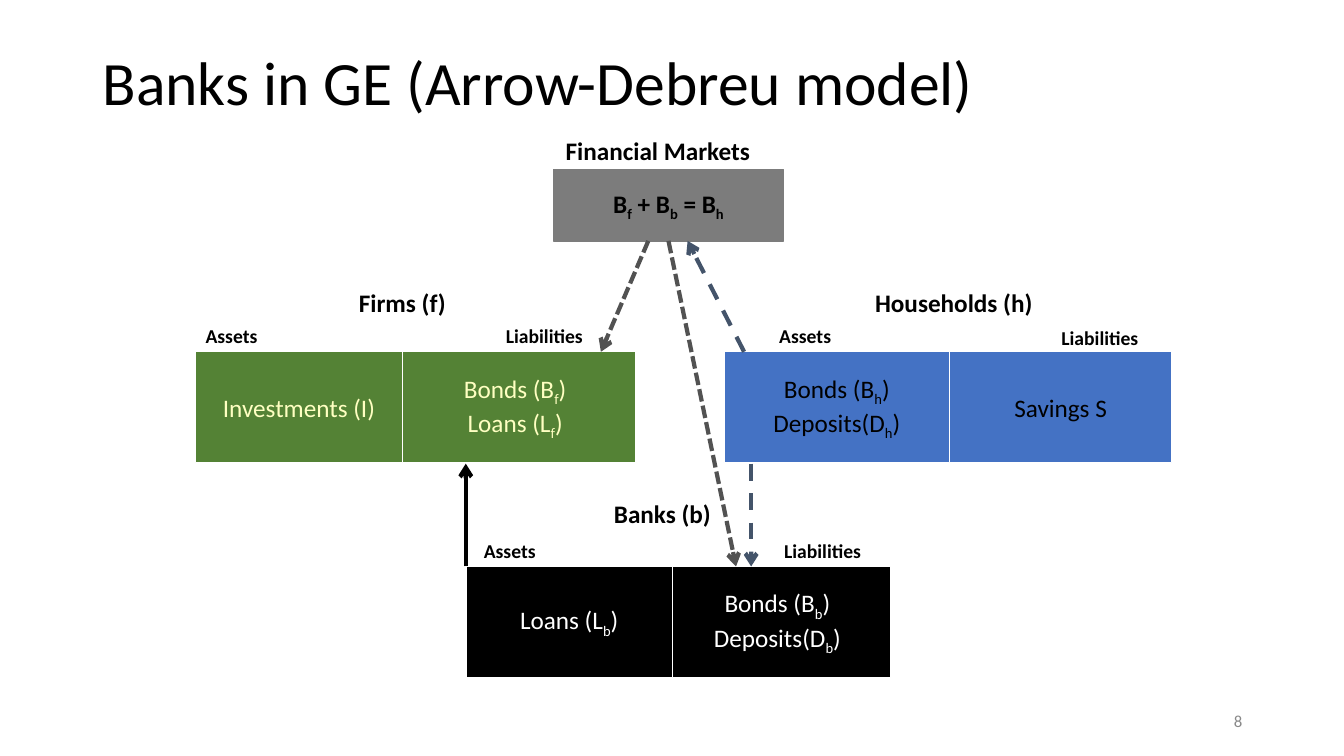
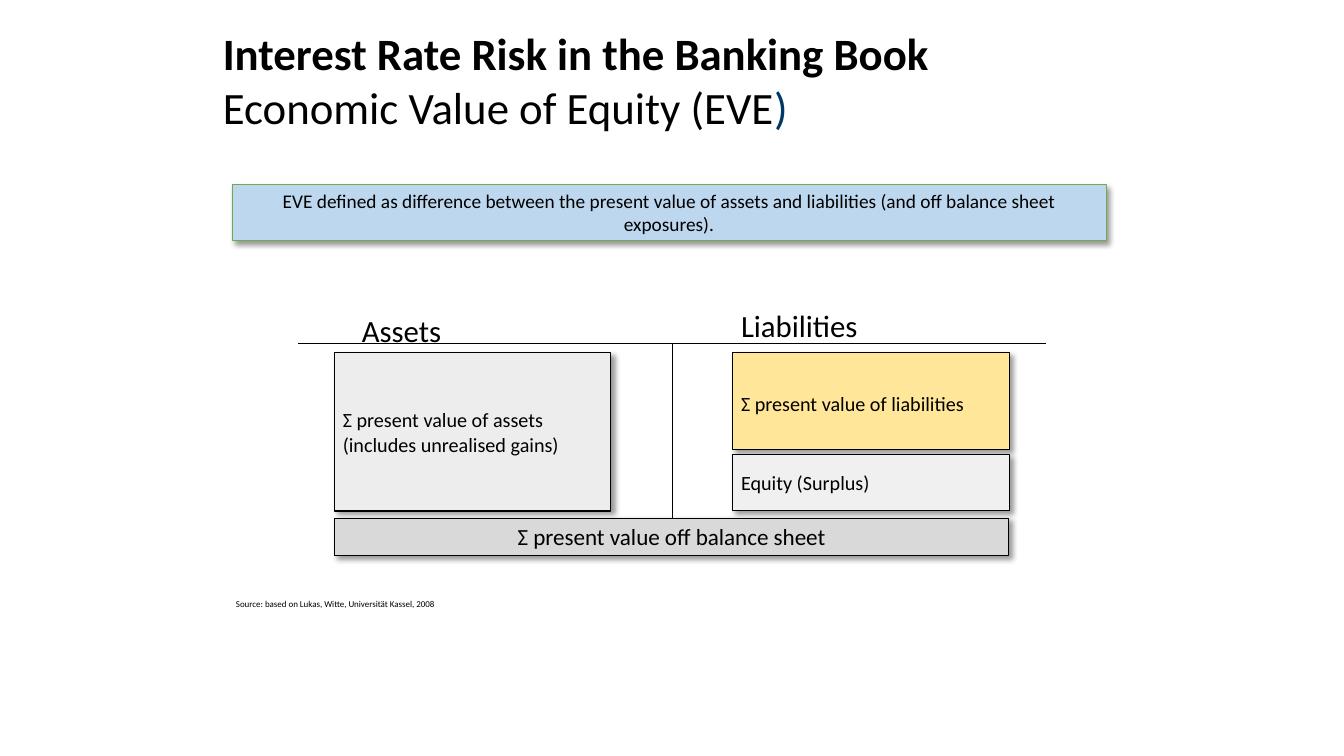
from dataclasses import dataclass

from lxml import etree
from pptx import Presentation
from pptx import util as u
from pptx.dml.color import RGBColor
from pptx.enum import dml, shapes, text
from pptx.oxml.ns import qn

PX = 9144


@dataclass(frozen=True)
class Theme:
    font: str = "Calibri"
    black: str = "000000"
    white: str = "FFFFFF"
    market: str = "7C7C7C"
    firm: str = "548235"
    firm_ink: str = "FFFFC2"
    household: str = "4472C4"
    household_flow: str = "44546A"
    market_flow: str = "525252"
    page_ink: str = "898989"
    asset_fill: str = "EDEDED"
    off_balance_fill: str = "D9D9D9"
    liability_fill: str = "FFE699"
    equity_fill: str = "F1F0F0"
    definition_fill: str = "BDD7EE"
    definition_edge: str = "70AD47"
    bracket: str = "003868"
    title: float = 44
    subtitle: float = 32
    side: float = 22
    body: float = 18
    off_balance: float = 16.5
    component: float = 14.4
    label: float = 14
    definition: float = 13.8
    page: float = 12
    source: float = 6.4


T = Theme()
LEFT, CENTER, RIGHT = text.PP_ALIGN.LEFT, text.PP_ALIGN.CENTER, text.PP_ALIGN.RIGHT
TOP, MIDDLE, BOTTOM = text.MSO_ANCHOR.TOP, text.MSO_ANCHOR.MIDDLE, text.MSO_ANCHOR.BOTTOM
WIDE, SNUG, FLUSH = (10, 5), (8, 4), (0, 0)
DASH, SHORT_DASH = dml.MSO_LINE.DASH, dml.MSO_LINE.SQUARE_DOT


def px(*lengths):
    return [u.Emu(length * PX) for length in lengths]


def rgb(color):
    return RGBColor.from_string(color)


def add_run(paragraph, words, size, color, bold=False, subscript=False):
    run = paragraph.add_run()
    run.text = words
    run.font.name = T.font
    run.font.size = u.Pt(size)
    run.font.bold = bold
    run.font.color.rgb = rgb(color)
    if subscript:
        run.font._element.set("baseline", "-25000")


def add_marked(paragraph, words, size, color, bold):
    plain, *marked = words.split("_")
    add_run(paragraph, plain, size, color, bold)
    for part in marked:
        add_run(paragraph, part[0], size, color, bold, subscript=True)
        if part[1:]:
            add_run(paragraph, part[1:], size, color, bold)


def write(shape, words, size, color=T.black, bold=False, align=LEFT,
          anchor=TOP, inset=WIDE, spacing=None):
    frame = shape.text_frame
    frame.word_wrap = True
    frame.vertical_anchor = anchor
    frame.margin_left = frame.margin_right = u.Emu(inset[0] * PX)
    frame.margin_top = frame.margin_bottom = u.Emu(inset[1] * PX)
    for index, line in enumerate(words.split("\n")):
        paragraph = frame.add_paragraph() if index else frame.paragraphs[0]
        paragraph.alignment = align
        if spacing:
            paragraph.line_spacing = spacing
        add_marked(paragraph, line, size, color, bold)
    return frame


def add_text(slide, at, words, size, **style):
    return write(slide.shapes.add_textbox(*px(*at)), words, size, **style)


def add_box(slide, at, words, size, fill, edge, edge_width=1, shadow=False, **style):
    box = slide.shapes.add_shape(shapes.MSO_SHAPE.RECTANGLE, *px(*at))
    box.fill.solid()
    box.fill.fore_color.rgb = rgb(fill)
    box.line.color.rgb = rgb(edge)
    box.line.width = u.Pt(edge_width)
    box.shadow.inherit = False
    if shadow:
        cast_shadow(box)
    write(box, words, size, anchor=MIDDLE, **style)


def cast_shadow(box):
    effects = box.element.spPr.find(qn("a:effectLst"))
    outer = etree.SubElement(effects, qn("a:outerShdw"), blurRad=str(u.Pt(4)),
                             dist=str(u.Pt(3)), dir="2700000", algn="tl", rotWithShape="0")
    tint = etree.SubElement(outer, qn("a:srgbClr"), val=T.black)
    etree.SubElement(tint, qn("a:alpha"), val="40000")


def add_line(slide, start, end, color=T.black, width=0.75, dash=None, arrow=False):
    line = slide.shapes.add_connector(shapes.MSO_CONNECTOR.STRAIGHT, *px(*start, *end))
    line.line.color.rgb = rgb(color)
    line.line.width = u.Pt(width)
    if dash:
        line.line.dash_style = dash
    if arrow:
        etree.SubElement(line.line._get_or_add_ln(), qn("a:tailEnd"), type="arrow")
    etree.SubElement(line.element.spPr, qn("a:effectLst"))


def add_balance_sheet(slide, heading, heading_at, top, assets, liabilities, fill, ink):
    add_text(slide, (*heading_at, 228, 40), heading, T.body, bold=True, align=CENTER)
    for left, width, entry in (liabilities, assets):
        add_box(slide, (left, top, width, 110), entry, T.body, fill, T.white,
                color=ink, align=CENTER)


def add_side_labels(slide, assets_at, liabilities_at):
    for words, at, align in (("Assets", assets_at, LEFT), ("Liabilities", liabilities_at, RIGHT)):
        add_text(slide, (*at, 134, 34), words, T.label, bold=True, align=align)


def build_banks(slide):
    add_text(slide, (92, 40, 1150, 89), "Banks in GE (Arrow-Debreu model)", T.title,
             anchor=MIDDLE, spacing=0.9)
    add_text(slide, (502, 129, 301, 40), "Financial Markets", T.body, bold=True, align=CENTER)
    add_box(slide, (549, 168, 228, 71), "B_f + B_b = B_h", T.body, T.market, T.market,
            bold=True, align=CENTER)

    add_balance_sheet(slide, "Firms (f)", (285, 280), 349, (194, 205, "Investments (I)"),
                      (391, 240, "Bonds (B_f)\nLoans (L_f)"), T.firm, T.firm_ink)
    add_balance_sheet(slide, "Households (h)", (832, 280), 349,
                      (718, 224, "Bonds (B_h) Deposits(D_h)"),
                      (942, 220, "Savings S"), T.household, T.black)
    add_balance_sheet(slide, "Banks (b)", (543, 489), 562, (462, 205, "Loans (L_b)"),
                      (659, 224, "Bonds (B_b) Deposits(D_b)"), T.black, T.white)
    add_side_labels(slide, (194, 316), (454, 316))
    add_side_labels(slide, (763, 316), (1005, 318))
    add_side_labels(slide, (470, 530), (730, 530))

    for start, end, color, dash in (
        ((738, 349), (682, 239), T.household_flow, DASH),
        ((462, 562), (462, 460), T.black, None),
        ((745, 460), (745, 562), T.household_flow, DASH),
        ((663, 239), (730, 562), T.market_flow, SHORT_DASH),
        ((643, 239), (596, 349), T.market_flow, SHORT_DASH),
    ):
        add_line(slide, start, end, color, 3, dash, arrow=True)
    add_text(slide, (942, 695, 300, 40), "8", T.page, color=T.page_ink,
             align=RIGHT, anchor=MIDDLE)


def build_equity_value(slide):
    title = add_text(slide, (221, 21, 920, 111), "Interest Rate Risk in the Banking Book",
                     T.subtitle, bold=True, anchor=BOTTOM, inset=FLUSH)
    topic = title.add_paragraph()
    add_run(topic, "Economic Value of Equity (EVE", T.subtitle, T.black)
    add_run(topic, ")", T.subtitle, T.bracket)

    add_box(slide, (230, 183, 867, 56),
            "EVE defined as difference between the present value of assets and liabilities "
            "(and off balance sheet exposures).",
            T.definition, T.definition_fill, T.definition_edge, 0.5, shadow=True,
            align=CENTER, inset=SNUG)

    for at, words, size, fill, align, spacing in (
        ((332, 350, 274, 157), "Σ present value of assets (includes unrealised gains)",
         T.component, T.asset_fill, LEFT, None),
        ((332, 514, 668, 37), "Σ present value off balance sheet",
         T.off_balance, T.off_balance_fill, CENTER, None),
        ((727, 350, 274, 96), "Σ present value of liabilities",
         T.component, T.liability_fill, LEFT, 1.2),
        ((727, 451, 274, 56), "Equity (Surplus)",
         T.component, T.equity_fill, LEFT, None),
    ):
        add_box(slide, at, words, size, fill, T.black, 0.75, shadow=True,
                align=align, inset=SNUG, spacing=spacing)

    add_text(slide, (351, 305, 110, 46), "Assets", T.side, inset=SNUG)
    add_text(slide, (727, 300, 150, 46), "Liabilities", T.side, inset=SNUG)
    add_line(slide, (296, 341), (1037, 341))
    add_line(slide, (667, 341), (667, 514))
    add_text(slide, (234, 594, 302, 11),
             "Source: based on Lukas, Witte, Universität Kassel, 2008", T.source, inset=FLUSH)


def main():
    deck = Presentation()
    deck.slide_width, deck.slide_height = px(1333, 750)
    for build in (build_banks, build_equity_value):
        build(deck.slides.add_slide(deck.slide_layouts[6]))
    deck.save("out.pptx")


if __name__ == "__main__":
    main()
